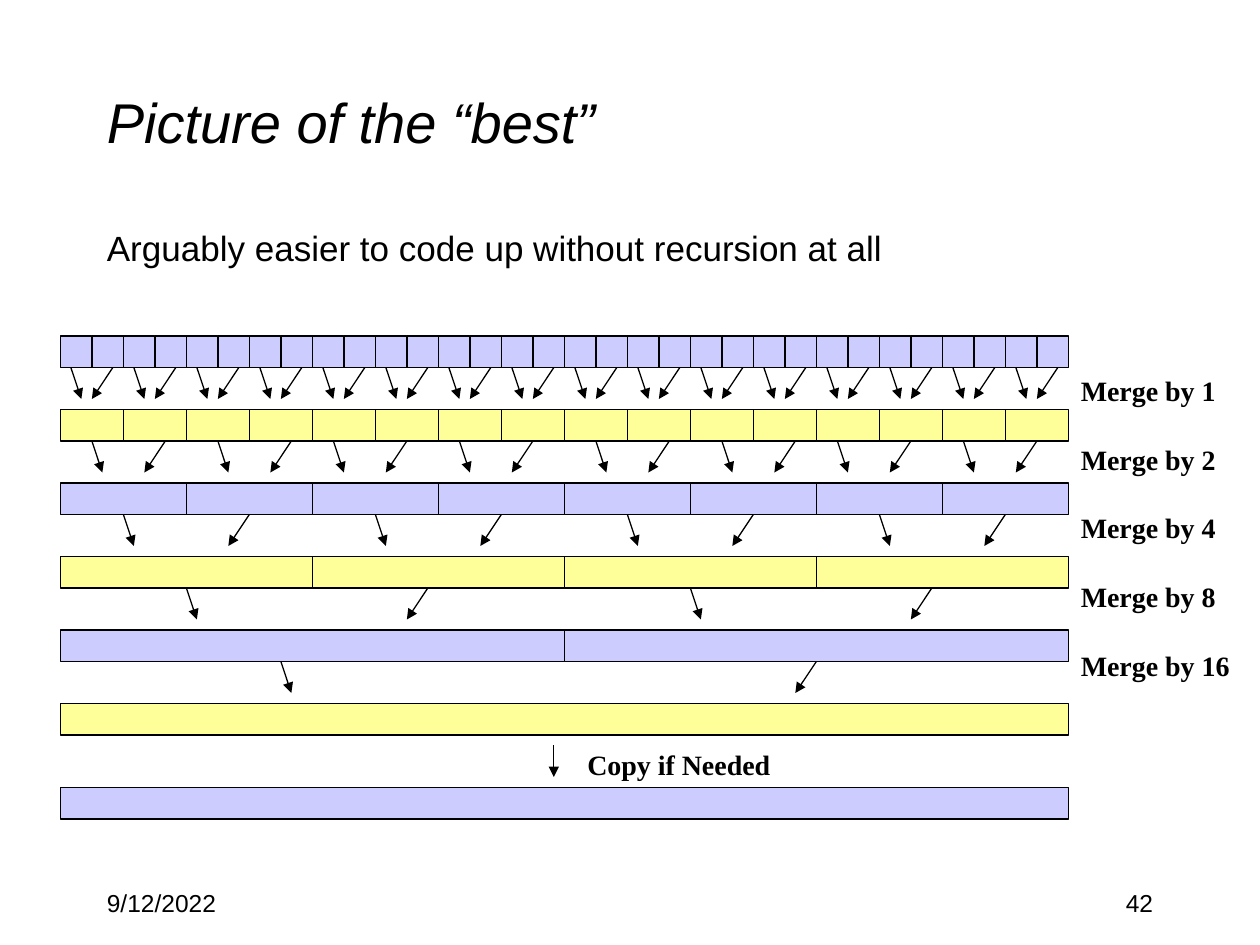
from dataclasses import dataclass

from lxml.etree import SubElement
from pptx import Presentation
from pptx.dml.color import RGBColor
from pptx.enum.shapes import MSO_CONNECTOR, MSO_SHAPE
from pptx.enum.text import MSO_ANCHOR, PP_ALIGN
from pptx.oxml.ns import qn
from pptx.util import Pt

EMU_PER_PX = 9525


@dataclass(frozen=True)
class Theme:
    """Colours, fonts and type sizes of the slide."""
    ink: RGBColor = RGBColor(0x00, 0x00, 0x00)
    lilac: RGBColor = RGBColor(0xCC, 0xCC, 0xFF)
    yellow: RGBColor = RGBColor(0xFF, 0xFF, 0x99)
    sans: str = "Arial"
    serif: str = "Times New Roman"
    title: int = 32
    body: int = 20
    label: int = 16
    footer: int = 14
    line: float = 0.75


THEME = Theme()

ARRAY_LEFT, ARRAY_TOP, ARRAY_WIDTH = 46, 256, 768
BAR_HEIGHT, ROW_PITCH = 24, 56
COPY_TOP = 600
CELL_COUNTS = [32, 16, 8, 4, 2, 1]


@dataclass(frozen=True)
class MergeStep:
    """Repeating arrow pairs that lead from one row to the next."""
    period: int
    starts: tuple
    spread: int


MERGE_STEPS = [
    MergeStep(48, (8,), 32),
    MergeStep(384, (24, 120, 208, 304), 56),
    MergeStep(192, (48,), 96),
    MergeStep(384, (96,), 184),
    MergeStep(768, (168,), 408),
]


def px(length):
    """Turn pixels into EMU."""
    return round(length * EMU_PER_PX)


def add_text(slide, box, lines, size, font=THEME.sans, bold=False, italic=False,
             align=PP_ALIGN.LEFT, anchor=MSO_ANCHOR.TOP, wrap=True, before=0, gap=0):
    """Add a text box with one paragraph for each line."""
    frame = slide.shapes.add_textbox(*map(px, box)).text_frame
    frame.word_wrap = wrap
    frame.vertical_anchor = anchor
    frame.text = "\n".join(lines)
    for index, paragraph in enumerate(frame.paragraphs):
        paragraph.alignment = align
        paragraph.space_before = Pt(gap if index else before)
        paragraph.font.name = font
        paragraph.font.size = Pt(size)
        paragraph.font.bold = bold
        paragraph.font.italic = italic
        paragraph.font.color.rgb = THEME.ink


def add_row(slide, top, count, color):
    """Add an array row of equal cells."""
    width = ARRAY_WIDTH // count
    for index in range(count):
        cell = slide.shapes.add_shape(
            MSO_SHAPE.RECTANGLE, px(ARRAY_LEFT + index * width), px(top),
            px(width), px(BAR_HEIGHT))
        cell.shadow.inherit = False
        cell.fill.solid()
        cell.fill.fore_color.rgb = color
        cell.line.color.rgb = THEME.ink
        cell.line.width = Pt(THEME.line)


def add_arrow(slide, start_x, end_x, top):
    """Add a line one bar high with a triangle at its lower end."""
    arrow = slide.shapes.add_connector(
        MSO_CONNECTOR.STRAIGHT, px(start_x), px(top), px(end_x), px(top + BAR_HEIGHT))
    arrow.line.color.rgb = THEME.ink
    arrow.line.width = Pt(THEME.line)
    SubElement(arrow.line._get_or_add_ln(), qn("a:tailEnd"), type="triangle")
    SubElement(arrow._element.spPr, qn("a:effectLst"))


def add_merge_arrows(slide, step, top):
    """Add the arrow pairs of one merge step."""
    for offset in range(0, ARRAY_WIDTH, step.period):
        for start in step.starts:
            left = ARRAY_LEFT + offset + start
            right = left + step.spread
            add_arrow(slide, left, left + 8, top)
            add_arrow(slide, right, right - 16, top)


def add_merge_diagram(slide):
    """Add all array rows, the merge arrows and the final copy."""
    for index, count in enumerate(CELL_COUNTS):
        color = THEME.yellow if index % 2 else THEME.lilac
        add_row(slide, ARRAY_TOP + index * ROW_PITCH, count, color)
    for index, step in enumerate(MERGE_STEPS):
        add_merge_arrows(slide, step, ARRAY_TOP + index * ROW_PITCH + BAR_HEIGHT)
    add_row(slide, COPY_TOP, 1, THEME.lilac)
    add_arrow(slide, 422, 422, COPY_TOP - 32)


def main():
    """Build and save the slide."""
    presentation = Presentation()
    presentation.slide_width, presentation.slide_height = px(960), px(720)
    slide = presentation.slides.add_slide(presentation.slide_layouts[6])
    add_text(slide, (72, 32, 816, 120), ["Picture of the “best”"], THEME.title,
             italic=True, anchor=MSO_ANCHOR.MIDDLE)
    add_text(slide, (72, 168, 816, 40),
             ["Arguably easier to code up without recursion at all"], THEME.body, before=4)
    add_text(slide, (72, 672, 200, 48), ["9/12/2022"], THEME.footer)
    add_text(slide, (688, 672, 200, 48), ["42"], THEME.footer, align=PP_ALIGN.RIGHT)
    add_merge_diagram(slide)
    add_text(slide, (814, 280, 138, 266), [f"Merge by {2 ** power}" for power in range(5)],
             THEME.label, THEME.serif, bold=True, wrap=False, gap=20)
    add_text(slide, (438, 565, 168, 36), ["Copy if Needed"],
             THEME.label, THEME.serif, bold=True, wrap=False)
    presentation.save("out.pptx")


if __name__ == "__main__":
    main()
